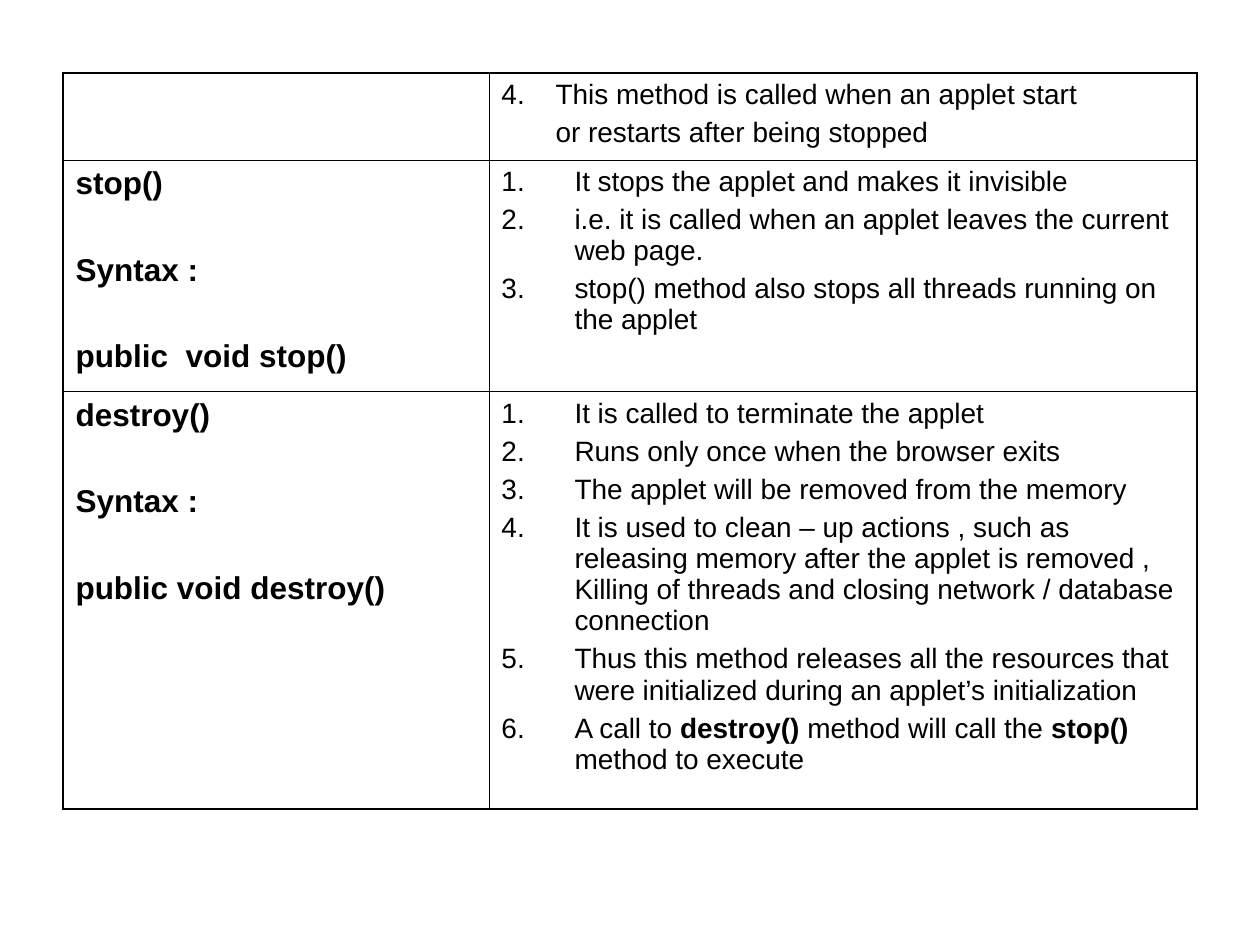
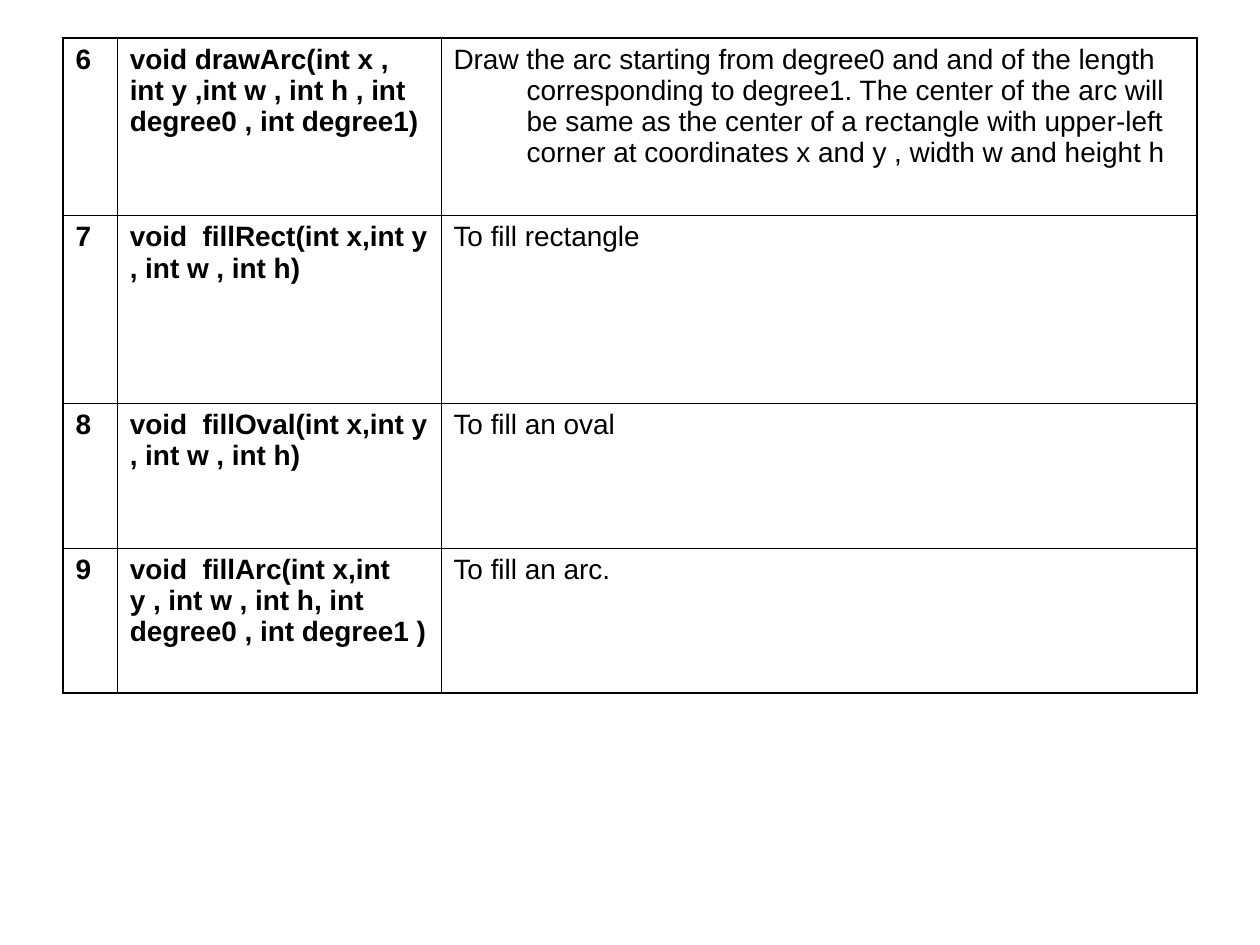
from dataclasses import dataclass

from lxml.etree import SubElement
from pptx import Presentation
from pptx.dml.color import RGBColor
from pptx.oxml.ns import qn
from pptx.util import Inches, Pt


@dataclass(frozen=True)
class Theme:
    font: str = "Arial"
    ink: str = "000000"
    body: float = 16
    heading: float = 18
    outer_line: float = 1.08
    inner_line: float = 0.45
    hanging: float = 0.58
    short_hanging: float = 0.43


THEME = Theme()
GRID_COLUMNS, GRID_ROWS = 100, 75
TABLE_LEFT = 5

# Paragraph styles: type, gap before later paragraphs, indents, numbering
METHOD = dict(size=THEME.heading, bold=True, gap=29.1)
SIGNATURE = dict(size=THEME.body, bold=True, gap=4)
PLAIN = dict(size=THEME.body, bold=False, gap=4)
HANGING = dict(PLAIN, left=THEME.hanging, first=-THEME.hanging)
NUMBERED = dict(HANGING, start=1)
FOURTH = dict(PLAIN, left=THEME.short_hanging, first=-THEME.short_hanging, start=4)
CONTINUED = dict(PLAIN, left=THEME.short_hanging)


class Deck:
    """Holds the theme, the presentation and the current slide."""

    def __init__(self, theme):
        self.theme = theme
        self.presentation = Presentation()
        self.presentation.slide_width = Inches(10)
        self.presentation.slide_height = Inches(7.5)
        self.slide = None

    def across(self, columns):
        return round(self.presentation.slide_width * columns / GRID_COLUMNS)

    def down(self, rows):
        return round(self.presentation.slide_height * rows / GRID_ROWS)

    def add_slide(self):
        blank_layout = self.presentation.slide_layouts[6]
        self.slide = self.presentation.slides.add_slide(blank_layout)

    def add_table(self, top, widths, heights, rows):
        """Each cell is a list of (text, style) paragraphs."""
        frame = self.slide.shapes.add_table(
            len(heights), len(widths), self.across(TABLE_LEFT), self.down(top),
            self.across(sum(widths)), self.down(sum(heights)))
        table = frame.table
        table.first_row = table.horz_banding = False
        for column, width in zip(table.columns, widths):
            column.width = self.across(width)
        for row, height in zip(table.rows, heights):
            row.height = self.down(height)
        last_row, last_column = len(heights) - 1, len(widths) - 1
        for row_index, row in enumerate(rows):
            for column_index, paragraphs in enumerate(row):
                cell = table.cell(row_index, column_index)
                self.add_borders(cell, {
                    "L": column_index == 0, "R": column_index == last_column,
                    "T": row_index == 0, "B": row_index == last_row})
                cell.fill.background()
                self.add_text(cell.text_frame, paragraphs)

    def add_borders(self, cell, sides):
        properties = cell._tc.get_or_add_tcPr()
        for side, is_outer in sides.items():
            width = self.theme.outer_line if is_outer else self.theme.inner_line
            line = SubElement(properties, qn(f"a:ln{side}"), w=str(Pt(width)))
            fill = SubElement(line, qn("a:solidFill"))
            SubElement(fill, qn("a:srgbClr"), val=self.theme.ink)

    def add_text(self, text_frame, paragraphs):
        for index, (text, style) in enumerate(paragraphs):
            paragraph = text_frame.add_paragraph() if index else text_frame.paragraphs[0]
            self.add_indent(paragraph, style)
            paragraph.space_before = Pt(style["gap"] if index else 0)
            # Text between double asterisks is bold
            for part_index, part in enumerate(text.split("**")):
                run = paragraph.add_run()
                run.text = part
                self.set_font(run.font, style["size"], style["bold"] or part_index % 2 == 1)

    def add_indent(self, paragraph, style):
        properties = paragraph._p.get_or_add_pPr()
        properties.set("marL", str(Inches(style.get("left", 0))))
        properties.set("indent", str(Inches(style.get("first", 0))))
        if "start" in style:
            SubElement(properties, qn("a:buAutoNum"),
                       type="arabicPeriod", startAt=str(style["start"]))
        else:
            SubElement(properties, qn("a:buNone"))

    def set_font(self, font, size, bold):
        values = {"name": self.theme.font, "size": Pt(size), "bold": bold}
        for name, value in values.items():
            setattr(font, name, value)
        font.color.rgb = RGBColor.from_string(self.theme.ink)


def styled(style, *texts):
    return [(text, style) for text in texts]


def add_life_cycle_slide(deck):
    deck.add_slide()
    start_notes = (styled(FOURTH, "This method is called when an applet start")
                   + styled(CONTINUED, "or restarts after being stopped"))
    stop_notes = styled(
        NUMBERED,
        "It stops the applet and makes it invisible",
        "i.e. it is called when an applet leaves the current web page.",
        "stop() method also stops all threads running on the applet")
    destroy_notes = styled(
        NUMBERED,
        "It is called to terminate the applet",
        "Runs only once when the browser exits",
        "The applet will be removed from the memory",
        "It is used to clean – up actions , such as releasing memory after the applet "
        "is removed , Killing of threads and closing network / database connection",
        "Thus this method releases all the resources that were initialized during "
        "an applet’s initialization",
        "A call to **destroy()** method will call the **stop()** method to execute")
    deck.add_table(
        top=5.8, widths=[33.8, 56.2], heights=[6.9, 18.4, 33.1],
        rows=[
            [[], start_notes],
            [styled(METHOD, "stop()", "Syntax :", "public  void stop()"), stop_notes],
            [styled(METHOD, "destroy()", "Syntax :", "public void destroy()"), destroy_notes],
        ])


def add_drawing_methods_slide(deck):
    deck.add_slide()
    methods = [
        ("void drawArc(int x , int y ,int w , int h , int degree0 , int degree1)",
         "Draw the arc starting from degree0 and and of the length corresponding to "
         "degree1. The center of the arc will be same as the center of a rectangle with "
         "upper-left corner at coordinates x and y , width w and height h"),
        ("void  fillRect(int x,int y , int w , int h)", "To fill rectangle"),
        ("void  fillOval(int x,int y , int w , int h)", "To fill an oval"),
        ("void  fillArc(int x,int y , int w , int h, int degree0 , int degree1 )",
         "To fill an arc."),
    ]
    deck.add_table(
        top=3, widths=[4.3, 25.7, 60], heights=[14.1, 14.9, 11.5, 11.5],
        rows=[[styled(SIGNATURE, str(number)), styled(SIGNATURE, signature),
               styled(HANGING, purpose)]
              for number, (signature, purpose) in enumerate(methods, start=6)])


def main():
    deck = Deck(THEME)
    add_life_cycle_slide(deck)
    add_drawing_methods_slide(deck)
    deck.presentation.save("out.pptx")


if __name__ == "__main__":
    main()
